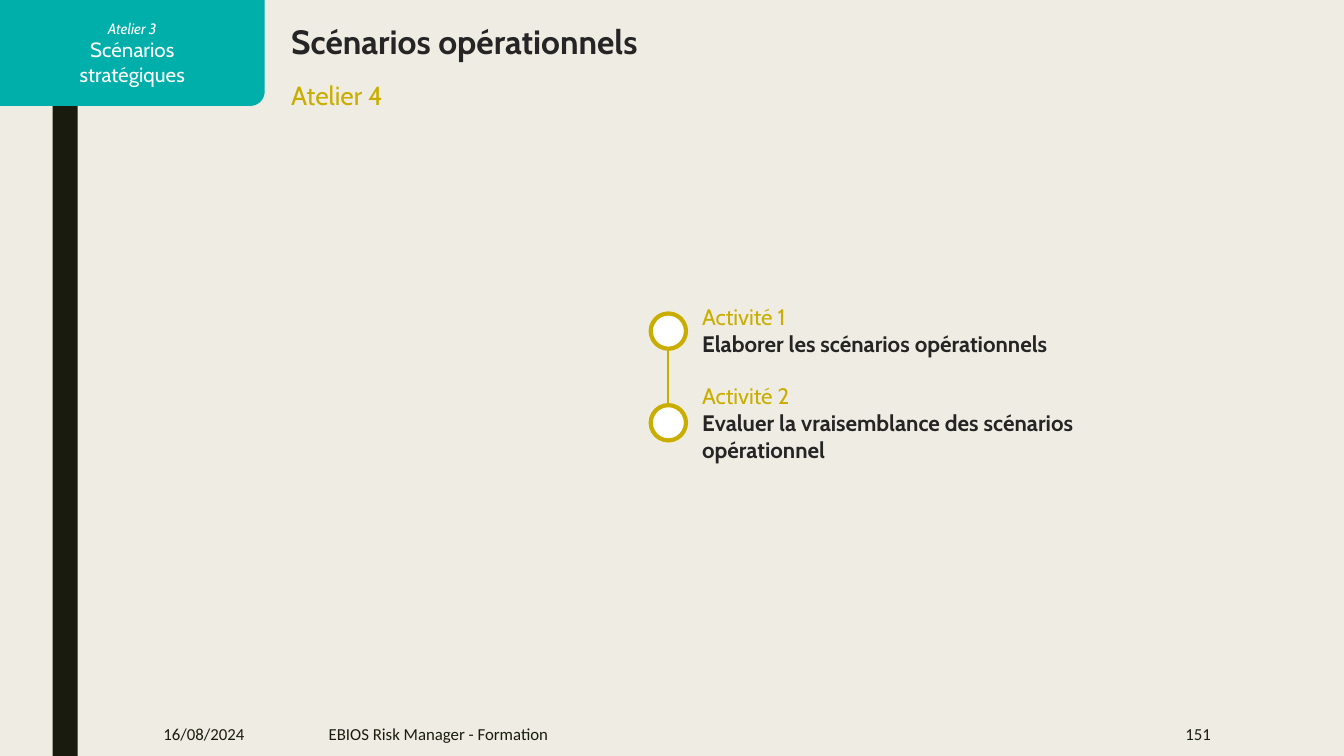
import math

import pptx
import pptx.dml.color
import pptx.enum.shapes
import pptx.enum.text
import pptx.oxml.ns
import pptx.util
from lxml import etree

Pt = pptx.util.Pt
RGBColor = pptx.dml.color.RGBColor
MSO_SHAPE = pptx.enum.shapes.MSO_SHAPE
PP_ALIGN = pptx.enum.text.PP_ALIGN
MSO_ANCHOR = pptx.enum.text.MSO_ANCHOR

CREAM = RGBColor(0xEF, 0xED, 0xE3)
DARK = RGBColor(0x19, 0x1B, 0x0E)
TEAL = RGBColor(0x00, 0xAF, 0xAA)
GOLD = RGBColor(0xC9, 0xAD, 0x00)
INK = RGBColor(0x25, 0x25, 0x25)
WHITE = RGBColor(0xFF, 0xFF, 0xFF)

PAGE_WIDTH, PAGE_HEIGHT = 960, 540


def write_lines(frame, lines, align=PP_ALIGN.LEFT):
    """Write one paragraph per (text, size, colour, font settings) line."""
    frame.word_wrap = True
    for index, (text, size, colour, settings) in enumerate(lines):
        para = frame.paragraphs[0] if index == 0 else frame.add_paragraph()
        para.alignment = align
        span = para.add_run()
        span.text = text
        span.font.size = Pt(size)
        span.font.color.rgb = colour
        span.font.name = settings.get("name", "Cabin")
        span.font.bold = settings.get("bold", False)
        span.font.italic = settings.get("italic", False)


def add_text(page, left, top, width, height, lines):
    """Add a text box without insets."""
    box = page.shapes.add_textbox(Pt(left), Pt(top), Pt(width), Pt(height))
    frame = box.text_frame
    frame.margin_left = frame.margin_right = Pt(0)
    frame.margin_top = frame.margin_bottom = Pt(0)
    write_lines(frame, lines)


def add_side_bar(page, left, top, width, height):
    bar = page.shapes.add_shape(
        MSO_SHAPE.RECTANGLE, Pt(left), Pt(top), Pt(width), Pt(height))
    bar.shadow.inherit = False
    bar.fill.solid()
    bar.fill.fore_color.rgb = DARK
    bar.line.fill.background()


def add_workshop_tab(page, left, top, width, height, radius=10):
    """Draw the tab with its bottom right corner rounded."""
    right, bottom = left + width, top + height
    corner = [(right - radius + radius * math.cos(math.radians(angle)),
               bottom - radius + radius * math.sin(math.radians(angle)))
              for angle in range(0, 91, 6)]
    outline = [(right, top), *corner, (left, bottom)]
    builder = page.shapes.build_freeform(Pt(left), Pt(top))
    builder.add_line_segments([(Pt(x), Pt(y)) for x, y in outline], close=True)
    tab = builder.convert_to_shape()
    tab.shadow.inherit = False
    tab.fill.solid()
    tab.fill.fore_color.rgb = TEAL
    tab.line.fill.background()
    tab.text_frame.vertical_anchor = MSO_ANCHOR.MIDDLE
    write_lines(tab.text_frame, [
        ("Atelier 3", 10.7, WHITE, {"italic": True}),
        ("Scénarios", 14.7, WHITE, {}),
        ("stratégiques", 14.7, WHITE, {}),
    ], PP_ALIGN.CENTER)


def add_heading(page, left, top, width):
    add_text(page, left, top, width, 29,
             [("Scénarios opérationnels", 24, INK, {"bold": True})])
    add_text(page, left, top + 41.8, width, 22.5,
             [("Atelier 4", 18.7, GOLD, {})])


def add_activities(page, left, top, width):
    """Draw the linked circles and the activity beside each one."""
    activities = [
        ("Activité 1", "Elaborer les scénarios opérationnels", 39),
        ("Activité 2", "Evaluer la vraisemblance des scénarios opérationnel", 58.5),
    ]
    diameter, circle_pitch, text_pitch, text_indent = 25.2, 65.5, 56.1, 36.8
    first_circle = top + 7.2
    centre = left + diameter / 2
    link = page.shapes.add_connector(
        pptx.enum.shapes.MSO_CONNECTOR.STRAIGHT, Pt(centre), Pt(first_circle),
        Pt(centre), Pt(first_circle + circle_pitch + diameter))
    link.line.color.rgb = GOLD
    link.line.width = Pt(1.25)
    properties = link._element.spPr
    etree.SubElement(properties, pptx.oxml.ns.qn("a:effectLst"))

    for index, (label, title, height) in enumerate(activities):
        circle = page.shapes.add_shape(
            MSO_SHAPE.OVAL, Pt(left), Pt(first_circle + index * circle_pitch),
            Pt(diameter), Pt(diameter))
        circle.shadow.inherit = False
        circle.fill.solid()
        circle.fill.fore_color.rgb = WHITE
        circle.line.color.rgb = GOLD
        circle.line.width = Pt(3)
        add_text(page, left + text_indent, top + index * text_pitch,
                 width - text_indent, height,
                 [(label, 16, GOLD, {}), (title, 16, INK, {"bold": True})])


def add_footer(page, top, height):
    fields = [
        ("16/08/2024", 109.6, 95, PP_ALIGN.LEFT),
        ("EBIOS Risk Manager - Formation", 227.7, 494.6, PP_ALIGN.LEFT),
        ("151", 746, 126, PP_ALIGN.RIGHT),
    ]
    for text, left, width, align in fields:
        box = page.shapes.add_textbox(Pt(left), Pt(top), Pt(width), Pt(height))
        box.text_frame.vertical_anchor = MSO_ANCHOR.MIDDLE
        write_lines(box.text_frame, [(text, 12, DARK, {"name": "Calibri"})], align)


def main():
    deck = pptx.Presentation()
    deck.slide_width, deck.slide_height = Pt(PAGE_WIDTH), Pt(PAGE_HEIGHT)
    page = deck.slides.add_slide(deck.slide_layouts[6])
    page.background.fill.solid()
    page.background.fill.fore_color.rgb = CREAM
    add_side_bar(page, 37.5, 0, 18, PAGE_HEIGHT)
    add_workshop_tab(page, 0, 0, 189, 75.6)
    add_activities(page, 464.8, 216.7, 348.6)
    add_heading(page, 208, 15.1, 717)
    add_footer(page, 508.5, 31.5)
    deck.save("out.pptx")


if __name__ == "__main__":
    main()
